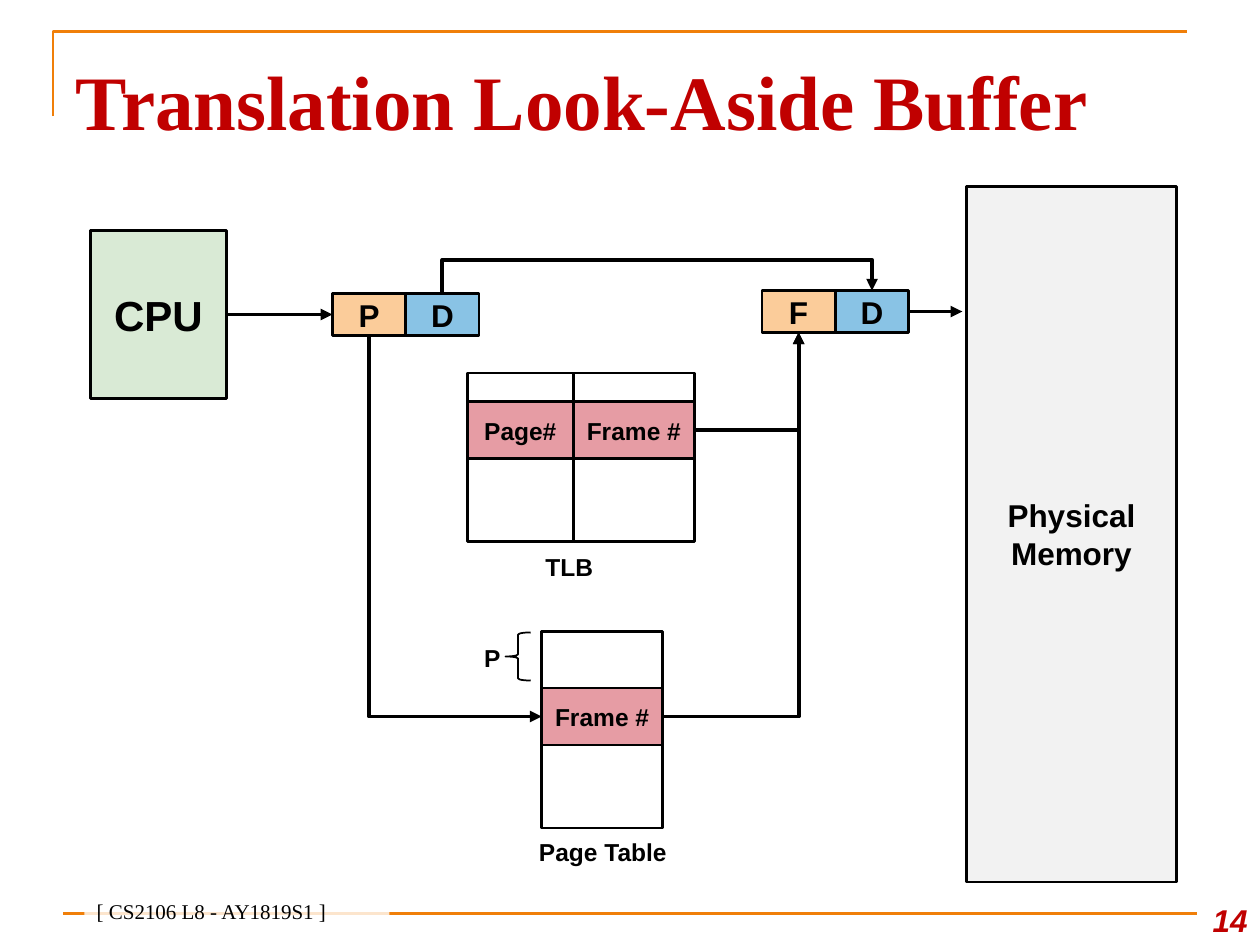
from lxml import etree
from pptx import Presentation
from pptx.dml.color import RGBColor
from pptx.enum.shapes import MSO_CONNECTOR, MSO_SHAPE
from pptx.enum.text import MSO_ANCHOR, PP_ALIGN
from pptx.oxml.ns import qn
from pptx.util import Cm, Pt

RECT, BRACE = MSO_SHAPE.RECTANGLE, MSO_SHAPE.LEFT_BRACE
STRAIGHT, ELBOW = MSO_CONNECTOR.STRAIGHT, MSO_CONNECTOR.ELBOW
TOP, MIDDLE, BOTTOM = MSO_ANCHOR.TOP, MSO_ANCHOR.MIDDLE, MSO_ANCHOR.BOTTOM
LEFT, CENTER, RIGHT = PP_ALIGN.LEFT, PP_ALIGN.CENTER, PP_ALIGN.RIGHT

# Content: name -> text, left, top, width, height (cm), fill, text size
PEACH, BLUE, PINK, WHITE = "FBCC9A", "89C3E5", "E69CA4", "FFFFFF"
BLACK, RED, ORANGE = "000000", "C00000", "F07F09"
CELL_W, CELL_H = 1.48, 0.84
PAGE_W, FRAME_W, ROW_H = 2.14, 2.44, 1.15
VIRT_X, VIRT_Y = 6.7, 5.92
PHYS_X, PHYS_Y = 15.36, 5.86
TLB_X, TLB_Y, TLB_H, TLB_ROW = 9.42, 7.52, 3.4, 8.1
PT_X, PT_Y, PT_H, PT_ROW = 10.92, 12.73, 3.96, 13.87

BOXES = {
    "cpu": ("CPU", 1.82, 4.65, 2.75, 3.38, "D9EAD5", 24),
    "page": ("P", VIRT_X, VIRT_Y, CELL_W, CELL_H, PEACH, 18),
    "offset": ("D", VIRT_X + CELL_W, VIRT_Y, CELL_W, CELL_H, BLUE, 18),
    "memory": ("Physical Memory", 19.48, 3.76, 4.24, 14.02, "F2F2F2", 18),
    "frame": ("F", PHYS_X, PHYS_Y, CELL_W, CELL_H, PEACH, 18),
    "frame offset": ("D", PHYS_X + CELL_W, PHYS_Y, CELL_W, CELL_H, BLUE, 18),
    "tlb pages": ("", TLB_X, TLB_Y, PAGE_W, TLB_H, WHITE, 14),
    "tlb frames": ("", TLB_X + PAGE_W, TLB_Y, FRAME_W, TLB_H, WHITE, 14),
    "tlb page": ("Page#", TLB_X, TLB_ROW, PAGE_W, ROW_H, PINK, 14),
    "tlb frame": ("Frame #", TLB_X + PAGE_W, TLB_ROW, FRAME_W, ROW_H, PINK, 14),
    "page table": ("", PT_X, PT_Y, FRAME_W, PT_H, WHITE, 14),
    "table frame": ("Frame #", PT_X, PT_ROW, FRAME_W, ROW_H, PINK, 14),
}
LABELS = [
    ("TLB", 10.08, 10.8, 2.79, 1.24),
    ("Page Table", 10.34, 16.54, 3.63, 1.24),
    ("P", 9.19, 12.6, 1.47, 1.3),
]


def rgb(color):
    return RGBColor.from_string(color)


def set_text(sp, text, size, font="Arial", color=BLACK, bold=True, italic=False,
             align=CENTER, anchor=MIDDLE, margin=0):
    tf = sp.text_frame
    tf.word_wrap = True
    tf.vertical_anchor = anchor
    tf.margin_left = tf.margin_right = Cm(margin)
    tf.text = text
    p = tf.paragraphs[0]
    p.alignment = align
    for r in p.runs:
        r.font.size, r.font.name = Pt(size), font
        r.font.bold, r.font.italic = bold, italic
        r.font.color.rgb = rgb(color)
    return tf


def set_line(sp, color=BLACK, width=1.5):
    sp.line.color.rgb = rgb(color)
    sp.line.width = Pt(width)


def add_box(text, x, y, w, h, fill, size):
    sp = s.shapes.add_shape(RECT, Cm(x), Cm(y), Cm(w), Cm(h))
    sp.shadow.inherit = False
    sp.fill.solid()
    sp.fill.fore_color.rgb = rgb(fill)
    set_line(sp)
    if text:
        set_text(sp, text, size)
    return sp


def add_line(kind, x1, y1, x2, y2, color=BLACK, width=2.25, arrow=True):
    c = s.shapes.add_connector(kind, Cm(x1), Cm(y1), Cm(x2), Cm(y2))
    set_line(c, color, width)
    if arrow:
        etree.SubElement(c.line._get_or_add_ln(), qn("a:tailEnd"), type="triangle")
    etree.SubElement(c._element.spPr, qn("a:effectLst"))
    return c


def add_elbow(start, end, preset, rot=0, flips="", adj=None):
    """Elbow arrow; a quarter turn swaps its width and height about the centre."""
    (x1, y1), (x2, y2) = start, end
    c = add_line(ELBOW, x1, y1, x2, y2)
    w, h = abs(x2 - x1), abs(y2 - y1)
    if rot:
        w, h = h, w
    c.left, c.top = Cm((x1 + x2 - w) / 2), Cm((y1 + y2 - h) / 2)
    c.width, c.height = Cm(w), Cm(h)
    xfrm = c._element.spPr.find(qn("a:xfrm"))
    xfrm.set("rot", str(rot * 60000))
    for axis in "HV":
        xfrm.set("flip" + axis, "1" if axis in flips else "0")
    geom = c._element.spPr.find(qn("a:prstGeom"))
    geom.set("prst", preset)
    if adj is not None:
        etree.SubElement(geom.find(qn("a:avLst")), qn("a:gd"),
                         name="adj1", fmla=f"val {round(adj * 100000)}")


def side(name, index):
    """Middle of a box side: 0 top, 1 left, 2 bottom, 3 right."""
    x, y, w, h = BOXES[name][1:5]
    return [(x + w / 2, y), (x, y + h / 2), (x + w / 2, y + h), (x + w, y + h / 2)][index]


prs = Presentation()
prs.slide_width, prs.slide_height = Cm(25.4), Cm(19.05)
s = prs.slides.add_slide(prs.slide_layouts[6])

# Frame lines
fb = s.shapes.build_freeform(Cm(1.07), Cm(2.34))
fb.add_line_segments([(Cm(1.07), Cm(0.64)), (Cm(23.93), Cm(0.64))], close=False)
corner = fb.convert_to_shape()
corner.shadow.inherit = False
corner.fill.background()
set_line(corner, ORANGE)
add_line(STRAIGHT, 1.27, 18.42, 24.13, 18.42, ORANGE, 1.5, arrow=False)

# Title, slide number and footer
title = s.shapes.add_textbox(Cm(1.27), Cm(0.76), Cm(22.86), Cm(1.98))
set_text(title, "Translation Look-Aside Buffer", 44, "Times New Roman", RED,
         align=LEFT, anchor=TOP, margin=0.25).margin_top = Cm(0.32)
number = s.shapes.add_textbox(Cm(23.93), Cm(17.78), Cm(1.47), Cm(1.27))
set_text(number, "14", 18, color=RED, italic=True, align=RIGHT, anchor=BOTTOM, margin=0.25)
footer = add_box("", 1.7, 18.11, 6.15, 0.64, WHITE, 12)
footer.line.fill.background()
white = footer._element.spPr.find(qn("a:solidFill"))[0]
etree.SubElement(white, qn("a:alpha"), val="80000")
set_text(footer, "[ CS2106 L8 - AY1819S1 ]", 12, "Times New Roman", bold=False,
         align=LEFT, anchor=BOTTOM, margin=0.25)

# Boxes and tables
shapes = {name: add_box(*box) for name, box in BOXES.items()}

# Labels and brace
for text, x, y, w, h in LABELS:
    set_text(s.shapes.add_textbox(Cm(x), Cm(y), Cm(w), Cm(h)), text, 14)
brace = s.shapes.add_shape(BRACE, Cm(10.19), Cm(12.75), Cm(0.51), Cm(0.97))
brace.shadow.inherit = False
brace.fill.background()
set_line(brace, width=1)

# Straight arrows
c = add_line(STRAIGHT, *side("cpu", 3), *side("page", 1))
c.begin_connect(shapes["cpu"], 3)
c.end_connect(shapes["page"], 1)
x, y = side("frame offset", 3)
c = add_line(STRAIGHT, x, y, 19.4, y)
c.begin_connect(shapes["frame offset"], 3)

# Elbow arrows
LIFT = 0.68
add_elbow(side("offset", 0), side("frame offset", 0), "bentConnector3", 90, "HV",
          LIFT / (VIRT_Y - PHYS_Y))
add_elbow(side("page", 2), side("table frame", 1), "bentConnector2", 270, "H")
for source in ("tlb frame", "table frame"):
    add_elbow(side(source, 3), side("frame", 2), "bentConnector2", flips="V")

prs.save("out.pptx")
